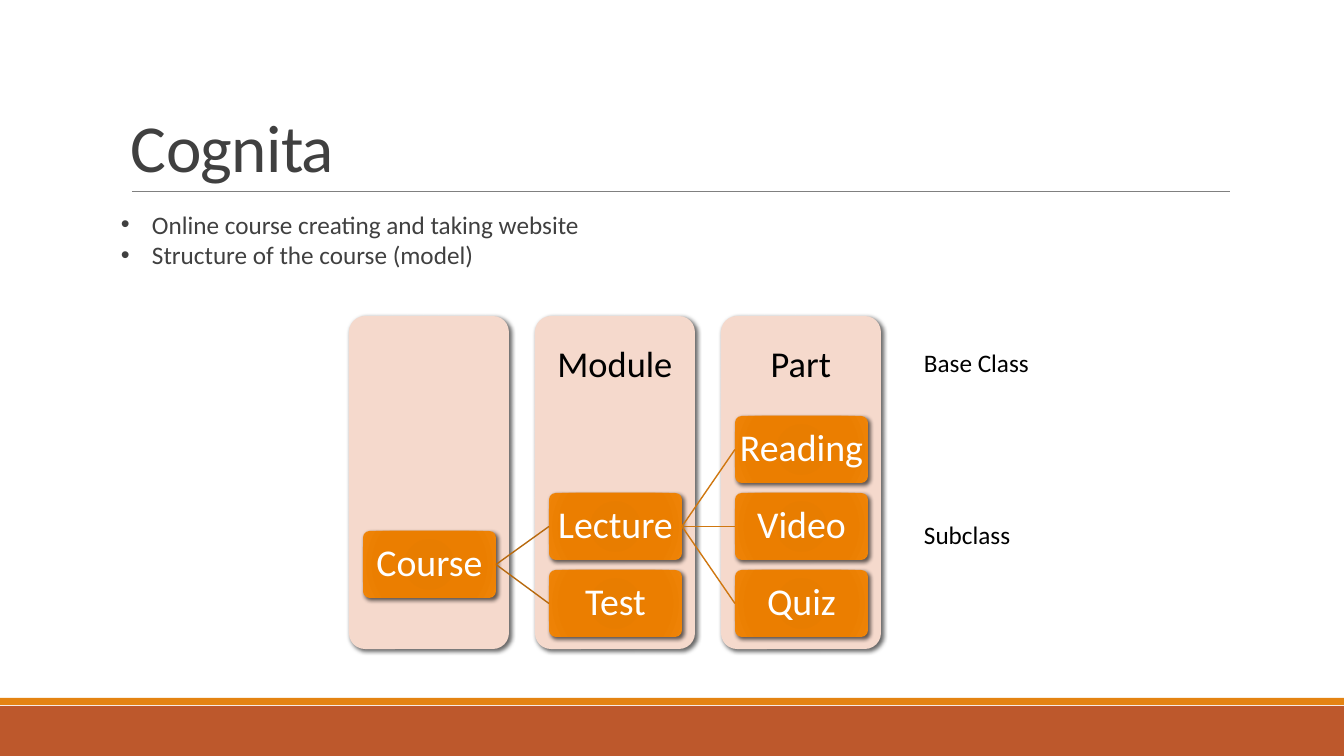
from lxml.etree import SubElement as Sub
from pptx import Presentation
from pptx.dml.color import RGBColor as Rgb
from pptx.enum.shapes import MSO_CONNECTOR as Conn, MSO_SHAPE as Kind
from pptx.enum.text import MSO_ANCHOR as Anchor, PP_ALIGN as Align
from pptx.oxml import parse_xml
from pptx.oxml.ns import nsdecls, qn
from pptx.util import Pt

SCALE = 914400 / 100.8
COLORS = {
    "rust": "BD582C", "orange": "E48312", "rule": "808080",
    "dark": "404040", "black": "000000", "white": "FFFFFF",
    "panel": "F5D9CC", "first": "B7690E", "second": "CF7710",
}
GLOW = [(0, "E57B00"), (34, "E87D00"), (70, "EB7E00"), (100, "EF8407")]
LEFT, TOP, STEP = 349, 316, 186
HEADS = ["", "Module", "Part"]
NODES = {
    "Course": (0, 1.5), "Lecture": (1, 1), "Test": (1, 2),
    "Reading": (2, 0), "Video": (2, 1), "Quiz": (2, 2),
}
LINKS = [
    ("Course", "Lecture", "first"), ("Course", "Test", "first"),
    ("Lecture", "Reading", "second"), ("Lecture", "Video", "second"),
    ("Lecture", "Quiz", "second"),
]


def px(*nums):
    """Turn pixels into EMU."""
    return [round(num * SCALE) for num in nums]


def rgb(name):
    """Look up a named colour."""
    return Rgb.from_string(COLORS[name])


def write(shape, text, size, color, inset, anchor=Anchor.TOP, align=Align.LEFT, space=1.0):
    """Fill a shape with styled text."""
    frame = shape.text_frame
    frame.text = text
    frame.vertical_anchor = anchor
    sides = px(*inset)
    frame.margin_left, frame.margin_top, frame.margin_right, frame.margin_bottom = sides
    for para in frame.paragraphs:
        para.alignment, para.line_spacing = align, space
        for run in para.runs:
            run.font.name, run.font.size = "Calibri", Pt(size)
            run.font.color.rgb = rgb(color)
    return frame


def label(slide, area, text, size, color, inset=(10, 5, 10, 5), **style):
    """Add a wrapping text box."""
    box = slide.shapes.add_textbox(*px(*area))
    frame = write(box, text, size, color, inset, **style)
    frame.word_wrap = True
    return frame


def block(slide, kind, area, color):
    """Add a plain filled shape."""
    shape = slide.shapes.add_shape(kind, *px(*area))
    shape.shadow.inherit = False
    shape.fill.solid()
    shape.fill.fore_color.rgb = rgb(color)
    shape.line.fill.background()
    return shape


def card(slide, area, color):
    """Add a rounded shape with a soft shadow."""
    shape = block(slide, Kind.ROUNDED_RECTANGLE, area, color)
    shape.adjustments[0] = 0.1
    effects = shape._element.spPr.find(qn("a:effectLst"))
    shade = Sub(effects, qn("a:outerShdw"), blurRad=str(Pt(3)), dist=str(Pt(2)),
                dir="2700000", algn="tl", rotWithShape="0")
    tint = Sub(shade, qn("a:srgbClr"), val=COLORS["black"])
    Sub(tint, qn("a:alpha"), val="60000")
    return shape


def glow(shape):
    """Swap the solid fill for the radial blend."""
    stops = "".join(f'<a:gs pos="{pos * 1000}"><a:srgbClr val="{tone}"/></a:gs>'
                    for pos, tone in GLOW)
    blend = parse_xml(
        f'<a:gradFill {nsdecls("a")} rotWithShape="1"><a:gsLst>{stops}</a:gsLst>'
        '<a:path path="circle"><a:fillToRect l="100000" t="100000" r="100000" b="100000"/>'
        '</a:path></a:gradFill>')
    props = shape._element.spPr
    props.replace(props.find(qn("a:solidFill")), blend)


def node(slide, text, col, row):
    """Add one class box on the grid."""
    area = (LEFT + 14 + col * STEP, 416 + int(row * 77), 133, 67)
    shape = card(slide, area, "orange")
    glow(shape)
    frame = write(shape, text, 27, "white", (2, 2, 2, 2), Anchor.MIDDLE, Align.CENTER, 0.9)
    frame.word_wrap = False
    return shape


def line(slide, ends, color, width):
    """Add a straight line."""
    link = slide.shapes.add_connector(Conn.STRAIGHT, *px(*ends))
    link.line.color.rgb, link.line.width = rgb(color), Pt(width)
    Sub(link._element.spPr, qn("a:effectLst"))
    return link


def bullets(frame):
    """Give each paragraph a hanging bullet."""
    hang = px(31)[0]
    for para in frame.paragraphs:
        props = para._p.get_or_add_pPr()
        props.set("marL", str(hang))
        props.set("indent", str(-hang))
        Sub(props, qn("a:buFont"), typeface="Arial")
        Sub(props, qn("a:buChar"), char="•")


def main():
    """Build the slide and save it."""
    deck = Presentation()
    deck.slide_width, deck.slide_height = px(1344, 756)
    slide = deck.slides.add_slide(deck.slide_layouts[6])

    block(slide, Kind.RECTANGLE, (0, 706, 1344, 50), "rust")
    block(slide, Kind.RECTANGLE, (0, 698, 1344, 7), "orange")
    line(slide, (132, 191, 1230, 191), "rule", 0.5)

    title = label(slide, (121, 31, 1109, 160), "Cognita", 48, "dark",
                  anchor=Anchor.BOTTOM, space=0.85)
    title.paragraphs[0].runs[0].font._element.set("spc", "-50")
    points = "Online course creating and taking website\nStructure of the course (model)"
    bullets(label(slide, (121, 204, 1109, 444), points, 18, "dark", (0, 5, 0, 5)))

    for col, head in enumerate(HEADS):
        panel = card(slide, (LEFT + col * STEP, TOP, 160, 333), "panel")
        if head:
            write(panel, head, 26, "black", (10, 0, 10, 233),
                  Anchor.MIDDLE, Align.CENTER, 0.9)

    boxes = {text: node(slide, text, *spot) for text, spot in NODES.items()}
    for start, end, color in LINKS:
        link = line(slide, (0, 0, 0, 0), color, 1)
        link.begin_connect(boxes[start], 3)
        link.end_connect(boxes[end], 1)

    for top, text in [(342, "Base Class"), (514, "Subclass")]:
        label(slide, (914, top, 151, 40), text, 18, "black")
    deck.save("out.pptx")


main()
